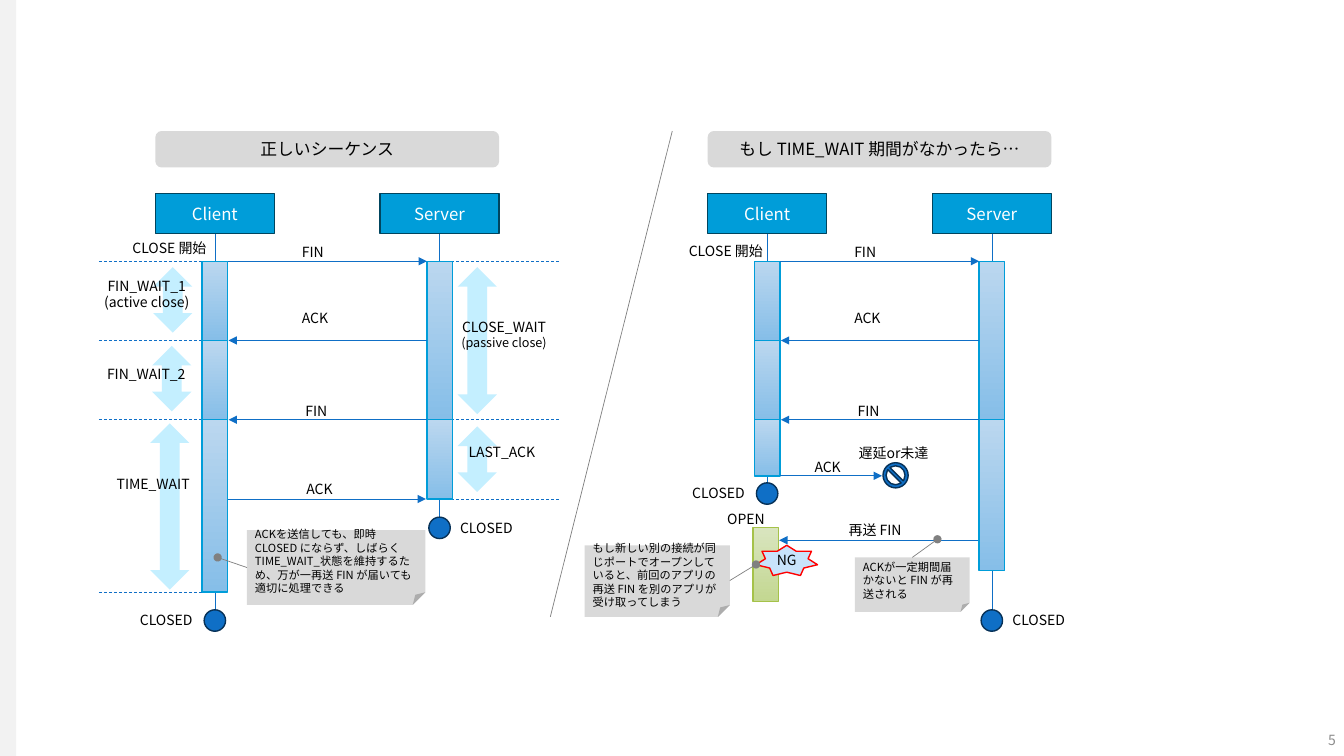
from lxml import etree
from pptx import Presentation
from pptx import util as u
from pptx.dml import color
from pptx.enum import dml, shapes, text
from pptx.oxml import ns

Pt, RGB = u.Pt, color.RGBColor
KIND, ALIGN = shapes.MSO_SHAPE, text.PP_ALIGN
FONT = "Noto Sans CJK JP"
BLACK, WHITE = RGB(0, 0, 0), RGB(255, 255, 255)
SIDE, MUTE = RGB(0xF2, 0xF2, 0xF2), RGB(0x8C, 0x8C, 0x8C)
PANEL, GRAY = RGB(0xD9, 0xD9, 0xD9), RGB(0x80, 0x80, 0x80)
BLUE, NAVY = RGB(0x0F, 0x6F, 0xC6), RGB(0x07, 0x31, 0x57)
HEAD, EDGE = RGB(0x00, 0x9D, 0xD9), RGB(0x00, 0x45, 0x5F)
SPAN, BURST = RGB(0xC4, 0xEF, 0xFF), RGB(0xC8, 0xE3, 0xFB)
RED, LEAF = RGB(0xFF, 0, 0), RGB(0xA5, 0xC2, 0x49)
SKY = RGB(0xBB, 0xD7, 0xEF), RGB(0x86, 0xBE, 0xE8)
LIME = RGB(0xD9, 0xE5, 0xBF), RGB(0xC3, 0xD7, 0x91)
ROWS = [93 + 56.6 * n for n in range(4)]
LIFE = 42.5, 203
HALF = 9.1


def write(shape, words, size, ink, align, pad=0, wrap=True):
    """Fill a shape with text and format every run."""
    frame = shape.text_frame
    frame.text = words
    frame.word_wrap = wrap
    frame.margin_left = frame.margin_right = Pt(pad)
    frame.margin_top = frame.margin_bottom = Pt(pad)
    for para in frame.paragraphs:
        para.alignment = align
        for run in para.runs:
            run.font.size, run.font.name = Pt(size), FONT
            run.font.color.rgb = ink
            east = etree.SubElement(run.font._element, ns.qn("a:ea"))
            east.set("typeface", FONT)


def shape(tree, kind, x, y, w, h, fill, edge=None):
    """Add a preset shape; a pair of fills makes a gradient."""
    item = tree.add_shape(kind, Pt(x), Pt(y), Pt(w), Pt(h))
    item.shadow.inherit = False
    if isinstance(fill, RGB):
        item.fill.solid()
        item.fill.fore_color.rgb = fill
    else:
        item.fill.gradient()
        item.fill.gradient_angle = 270
        for stop, tone in zip(item.fill.gradient_stops, fill):
            stop.color.rgb = tone
    if edge is None:
        item.line.fill.background()
    else:
        item.line.color.rgb, item.line.width = edge, Pt(1)
    return item


def line(tree, x, y, to_x, to_y, ink=BLUE, tip=None, dash=False):
    """Add a thin straight line with an optional tip or dash."""
    item = tree.add_connector(shapes.MSO_CONNECTOR.STRAIGHT, Pt(x), Pt(y), Pt(to_x), Pt(to_y))
    item.line.color.rgb, item.line.width = ink, Pt(0.5)
    if dash:
        item.line.dash_style = dml.MSO_LINE.DASH
    props = item.element.spPr
    if tip:
        end = etree.SubElement(props.find(ns.qn("a:ln")), ns.qn("a:tailEnd"))
        end.set("type", tip)
    etree.SubElement(props, ns.qn("a:effectLst"))


def label(tree, x, y, w, words, align=ALIGN.CENTER, wrap=False):
    """Add a small free label."""
    box = tree.add_textbox(Pt(x), Pt(y), Pt(w), Pt(12.2))
    write(box, words, 10, BLACK, align, wrap=wrap)
    box.text_frame.auto_size = text.MSO_AUTO_SIZE.SHAPE_TO_FIT_TEXT
    return box


def note(tree, x, y, w, h, words, start, end):
    """Add a folded note and its pointer."""
    item = shape(tree, KIND.FOLDED_CORNER, x, y, w, h, PANEL)
    write(item, words, 8, BLACK, ALIGN.LEFT, 5.76)
    line(tree, *start, *end, GRAY, "oval")


def states(tree, x, y):
    """Draw the state spans and dashed limits of the full sequence."""
    for dx, dy, high in [(215.9, 97.2, 105), (215.9, 211, 46.8), (-3.7, 208.8, 118.8),
                         (-2.3, 153.4, 46.8), (-1.6, 97.2, 46.8)]:
        shape(tree, KIND.UP_DOWN_ARROW, x + dx, y + dy, 28, high, SPAN)
    for dy in (*ROWS[:3], 329.2):
        line(tree, x - 40.4, y + dy, x + LIFE[0], y + dy, dash=True)
    for dy in (ROWS[0], ROWS[2], ROWS[3]):
        line(tree, x + 288, y + dy, x + LIFE[1], y + dy, dash=True)


def base(tree, x, y, title, stops, ends):
    """Draw the title, both lifelines and the shared messages."""
    item = shape(tree, KIND.ROUNDED_RECTANGLE, x, y, 245.5, 26, PANEL)
    write(item, title, 12, BLACK, ALIGN.CENTER, 2.88)
    marks = (ROWS[:3] + [stops[0]], [ROWS[0], ROWS[2], stops[1]])
    sides = zip(("Client", "Server"), LIFE, marks, ends, (-12.4, 216.3))
    for name, mid, cuts, end, out in sides:
        item = shape(tree, KIND.RECTANGLE, x + mid - 42.5, y + 44.7, 85, 28.4, HEAD, EDGE)
        write(item, name, 12, WHITE, ALIGN.CENTER, wrap=False)
        line(tree, x + mid, y + 73.3, x + mid, y + end)
        for top, low in zip(cuts, cuts[1:]):
            shape(tree, KIND.RECTANGLE, x + mid - HALF, y + top, 2 * HALF, low - top, SKY, HEAD)
        shape(tree, KIND.OVAL, x + mid - 7.65, y + end, 15.3, 15.3, BLUE, NAVY)
        label(tree, x + out, y + end + 1.4, 40.3, "CLOSED")
    near, far = x + LIFE[0] + HALF, x + LIFE[1] - HALF
    line(tree, near, y + ROWS[0], far, y + ROWS[0], tip="triangle")
    for dy in ROWS[1:3]:
        line(tree, far, y + dy, near + 0.7, y + dy, tip="triangle")
    for dx, dy, words in [(104.7, 80.6, "FIN"), (104.7, 127.4, "ACK"), (107.2, 193.7, "FIN")]:
        label(tree, x + dx, y + dy, 20, words, ALIGN.LEFT)


def right_way(tree, x, y):
    """Draw the correct closing sequence."""
    states(tree, x, y)
    base(tree, x, y, "正しいシーケンス", (329.2, ROWS[3]), (342, 275.8))
    line(tree, x + 51.6, y + ROWS[3], x + 193.2, y + ROWS[3], tip="triangle")
    label(tree, x + 107.9, y + 249.8, 20.2, "ACK", ALIGN.LEFT)
    label(tree, x - 18.1, y + 77.8, 56.2, "CLOSE 開始")
    for dx, dy, wide, words in [(-39, 104.4, 65.5, "FIN_WAIT_1\n(active close)"),
                                (-38.3, 167.8, 63.4, "FIN_WAIT_2"),
                                (-31.1, 246.2, 59, "TIME_WAIT"),
                                (221.6, 223.2, 51.8, "LAST_ACK")]:
        label(tree, x + dx, y + dy, wide, words)
    passive = label(tree, x + 215.9, y + 133.9, 66.2, "CLOSE_WAIT\n(passive close)")
    passive.text_frame.paragraphs[1].runs[0].font.size = Pt(9)
    note(tree, x + 65.4, y + 285.1, 127.4, 53.3,
         "ACKを送信しても、即時 CLOSED にならず、しばらくTIME_WAIT_状態を維持するため、"
         "万が一再送 FIN が届いても適切に処理できる",
         (x + 65.4, y + 311.8), (x + 44.5, y + 304.6))


def wrong_way(tree, x, y):
    """Draw the sequence that lacks the waiting time."""
    base(tree, x, y, "もし TIME_WAIT 期間がなかったら…", (246.5, 314), (251.3, 342))
    line(tree, x + 51.6, y + 246.3, x + 124.5, y + 246.3, tip="triangle")
    label(tree, x + 76.3, y + 234, 20.2, "ACK", ALIGN.LEFT)
    label(tree, x - 15.2, y + 79.9, 56.2, "CLOSE 開始")
    stop = shape(tree, KIND.NO_SYMBOL, x + 125.2, y + 236.9, 18, 18, BLUE, NAVY)
    stop.adjustments[0] = 0.124
    label(tree, x + 107.9, y + 223.9, 50.4, "遅延or未達", ALIGN.LEFT, True)
    line(tree, x + 192.9, y + 292.3, x + 51.1, y + 292.3, tip="triangle")
    label(tree, x + 100.7, y + 278.6, 41, "再送 FIN", ALIGN.LEFT)
    shape(tree, KIND.RECTANGLE, x + 32.3, y + 283, 2 * HALF, 53.3, LIME, LEAF)
    label(tree, x + 13.6, y + 270.7, 27.4, "OPEN")
    burst = shape(tree, KIND.STAR_7_POINT, x + 34.5, y + 295.9, 44, 21.6, BURST, RED)
    write(burst, "NG", 10, BLACK, ALIGN.CENTER, wrap=False)
    note(tree, x + 105.1, y + 304.6, 82, 38.9, "ACKが一定期間届かないと FIN が再送される",
         (x + 146.1, y + 304.6), (x + 164.1, y + 291.6))
    note(tree, x - 87.9, y + 296, 103.7, 51.1,
         "もし新しい別の接続が同じポートでオープンしていると、前回のアプリの"
         "再送 FIN を別のアプリが受け取ってしまう",
         (x + 15.8, y + 321.1), (x + 34.5, y + 309.6))


def frame(tree, wide, high):
    """Draw the side band and the page number."""
    shape(tree, KIND.RECTANGLE, 0, 0, 11.5, high, SIDE)
    page = tree.add_textbox(Pt(wide - 79.2), Pt(high - 23), Pt(79.2), Pt(23))
    write(page, "5", 10, MUTE, ALIGN.RIGHT, 5.76)
    page.text_frame.vertical_anchor = text.MSO_ANCHOR.MIDDLE


def main():
    """Build and save the slide."""
    deck = Presentation()
    deck.slide_width, deck.slide_height = Pt(960), Pt(540)
    tree = deck.slides.add_slide(deck.slide_layouts[6]).shapes
    frame(tree, 960, 540)
    right_way(tree, 111, 93.6)
    wrong_way(tree, 505.5, 93.6)
    line(tree, 480.2, 93.6, 393.1, 440.6, GRAY)
    deck.save("out.pptx")


main()
